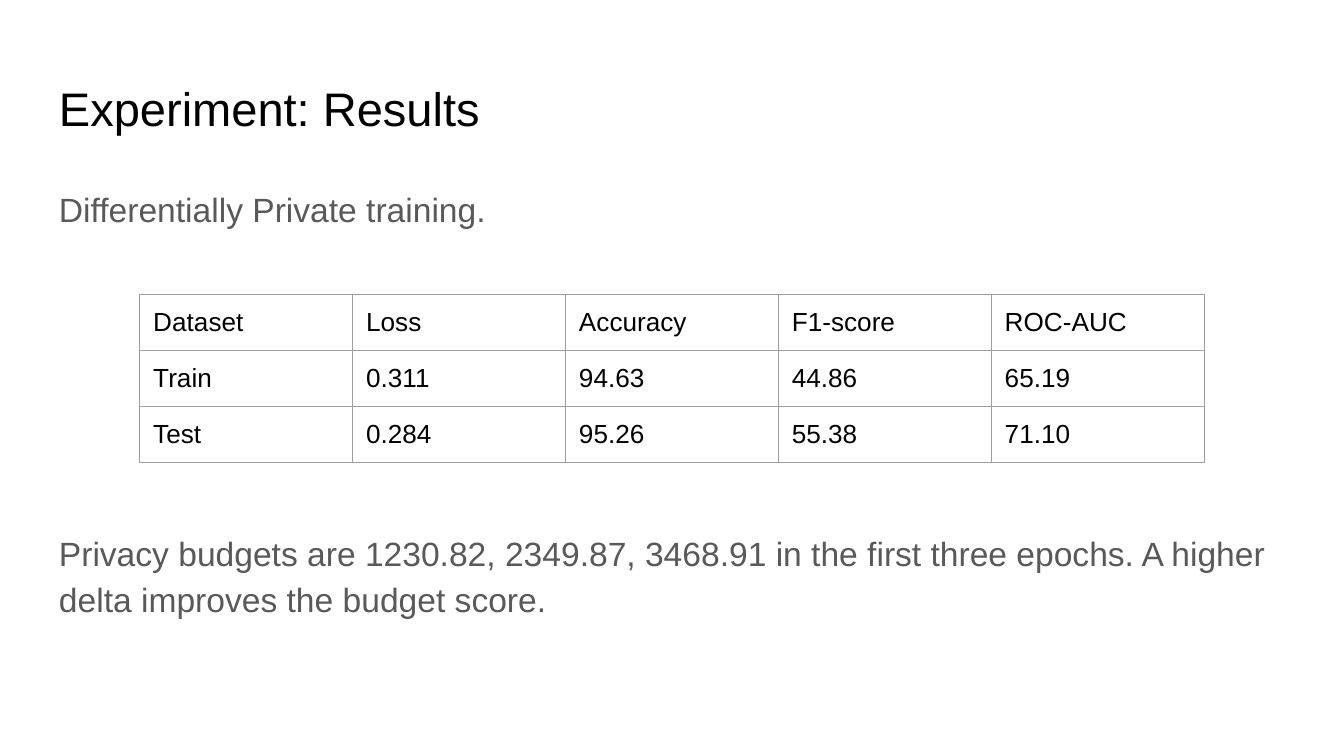
from dataclasses import dataclass

from lxml import etree
from pptx import Presentation, util as u
from pptx.dml.color import RGBColor
from pptx.enum import text as t
from pptx.oxml.ns import qn


@dataclass(frozen=True)
class Theme:
    font: str = "Arial"
    ink: str = "000000"
    gray: str = "595959"
    rule: str = "9E9E9E"
    head: float = 25.2
    body: float = 18
    cell: float = 14
    line: float = 0.75
    inset: float = 0.1


@dataclass(frozen=True)
class Box:
    left: float
    top: float
    width: float
    height: float

    def area(self) -> tuple:
        return tuple(map(u.Inches, (self.left, self.top, self.width, self.height)))


THEME = Theme()
TITLE = Box(0.34, 0.49, 9.32, 0.63)
BODY = Box(0.34, 1.26, 9.32, 3.74)
GRID = Box(1.04, 2.19, 7.92, 1.25)
SCORES = (
    ("Dataset", "Loss", "Accuracy", "F1-score", "ROC-AUC"),
    ("Train", "0.311", "94.63", "44.86", "65.19"),
    ("Test", "0.284", "95.26", "55.38", "71.10"),
)
NOTES = (
    "Differentially Private training.",
    "Privacy budgets are 1230.82, 2349.87, 3468.91 in the first three epochs. "
    "A higher delta improves the budget score.",
)


def write(para, words: str, *, size: float, color: str = THEME.ink,
          pitch: float = 1, before: float = 0) -> None:
    para.alignment = t.PP_ALIGN.LEFT
    para.line_spacing = pitch
    para.space_before = u.Pt(before)
    run = para.add_run()
    run.text = words
    run.font.name = THEME.font
    run.font.size = u.Pt(size)
    run.font.color.rgb = RGBColor.from_string(color)


def pad(item, base: float = THEME.inset) -> None:
    item.margin_left = item.margin_right = item.margin_top = u.Inches(THEME.inset)
    item.margin_bottom = u.Inches(base)
    item.vertical_anchor = t.MSO_ANCHOR.TOP


def frame(slide, box: Box):
    area = slide.shapes.add_textbox(*box.area()).text_frame
    area.word_wrap = True
    pad(area)
    return area


def edge(cell) -> None:
    props = cell._tc.get_or_add_tcPr()
    for spot, side in enumerate(("lnL", "lnR", "lnT", "lnB")):
        line = etree.Element(qn("a:" + side), w=str(u.Pt(THEME.line)))
        fill = etree.SubElement(line, qn("a:solidFill"))
        etree.SubElement(fill, qn("a:srgbClr"), val=THEME.rule)
        props.insert(spot, line)


def grid(slide, box: Box, rows: tuple) -> None:
    table = slide.shapes.add_table(len(rows), len(rows[0]), *box.area()).table
    table.first_row = table.horz_banding = False
    for row, words in enumerate(rows):
        for col, word in enumerate(words):
            cell = table.cell(row, col)
            cell.fill.background()
            pad(cell, base=0.08)
            edge(cell)
            write(cell.text_frame.paragraphs[0], word, size=THEME.cell)


def main() -> None:
    deck = Presentation()
    deck.slide_width = u.Inches(10)
    deck.slide_height = deck.slide_width * 9 // 16
    slide = deck.slides.add_slide(deck.slide_layouts[6])
    write(frame(slide, TITLE).paragraphs[0], "Experiment: Results", size=THEME.head)
    body = frame(slide, BODY)
    for para, words, gap in zip((body.paragraphs[0], body.add_paragraph()), NOTES, (0, 159.5)):
        write(para, words, size=THEME.body, color=THEME.gray, pitch=1.15, before=gap)
    grid(slide, GRID, SCORES)
    deck.save("out.pptx")


main()
